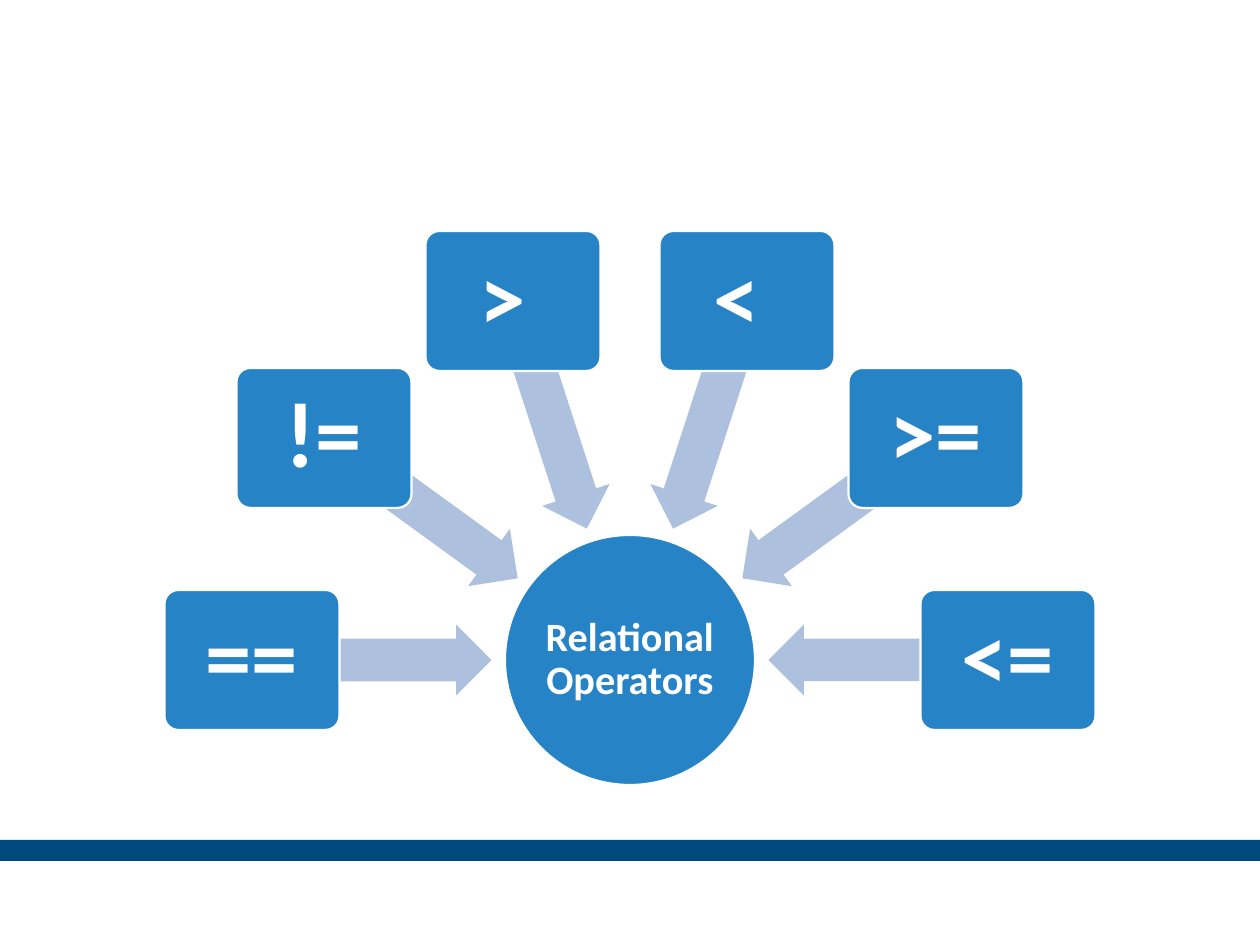
from dataclasses import dataclass
from math import cos, radians, sin

from pptx import Presentation
from pptx import util as u
from pptx.dml.color import RGBColor
from pptx.enum import shapes, text

EMU_PER_PX = 914400 / 126
COLORS = {"bar": "00497C", "node": "2683C6", "arrow": "ADC1DF", "white": "FFFFFF"}
FONT = "Calibri"

HUB_X, HUB_Y = 630, 660
BOX_ORBIT, ARROW_ORBIT = 378, 258
OPERATORS = ["==", "!=", "> ", "< ", ">=", "<="]


@dataclass(frozen=True)
class Look:
    preset: shapes.MSO_SHAPE
    width: int
    height: int
    color: str
    adjustments: tuple[float, ...] = ()
    outlined: bool = False


@dataclass(frozen=True)
class Label:
    words: str
    size: int
    inset: int


BAR = Look(shapes.MSO_SHAPE.RECTANGLE, 1260, 21, "bar")
HUB = Look(shapes.MSO_SHAPE.OVAL, 250, 250, "node", outlined=True)
ARROW = Look(shapes.MSO_SHAPE.LEFT_ARROW, 239, 71, "arrow", (0.6, 0.5))
BOX = Look(shapes.MSO_SHAPE.ROUNDED_RECTANGLE, 175, 140, "node", (0.1,), True)


def px(length: int) -> u.Emu:
    return u.Emu(round(length * EMU_PER_PX))


def rgb(name: str) -> RGBColor:
    return RGBColor.from_string(COLORS[name])


def orbit_point(radius: int, angle: float) -> tuple[int, int]:
    """Point around the hub, with angles running clockwise from the right."""
    turn = radians(angle)
    return round(HUB_X + radius * cos(turn)), round(HUB_Y + radius * sin(turn))


def draw_shape(slide, look: Look, center_x: int, center_y: int, rotation: float = 0):
    shape = slide.shapes.add_shape(
        look.preset,
        px(center_x - look.width / 2),
        px(center_y - look.height / 2),
        px(look.width),
        px(look.height),
    )
    shape.rotation = rotation
    shape.shadow.inherit = False
    for index, value in enumerate(look.adjustments):
        shape.adjustments[index] = value
    shape.fill.solid()
    shape.fill.fore_color.rgb = rgb(look.color)
    if look.outlined:
        shape.line.color.rgb = rgb("white")
        shape.line.width = u.Pt(1.25)
    else:
        shape.line.fill.background()
    return shape


def write_label(shape, label: Label) -> None:
    frame = shape.text_frame
    frame.word_wrap = True
    frame.vertical_anchor = text.MSO_ANCHOR.MIDDLE
    frame.margin_left = frame.margin_right = px(label.inset)
    frame.margin_top = frame.margin_bottom = px(label.inset)
    paragraph = frame.paragraphs[0]
    paragraph.alignment = text.PP_ALIGN.CENTER
    paragraph.line_spacing = 0.9
    run = paragraph.add_run()
    run.text = label.words
    run.font.name = FONT
    run.font.size = u.Pt(label.size)
    run.font.bold = True
    run.font.color.rgb = rgb("white")


def main() -> None:
    presentation = Presentation()
    presentation.slide_width, presentation.slide_height = px(1260), px(945)
    slide = presentation.slides.add_slide(presentation.slide_layouts[6])

    draw_shape(slide, BAR, 630, 850.5)
    write_label(draw_shape(slide, HUB, HUB_X, HUB_Y), Label("Relational Operators", 23, 3))

    step = 180 / (len(OPERATORS) - 1)
    for index, operator in enumerate(OPERATORS):
        angle = 180 + index * step
        draw_shape(slide, ARROW, *orbit_point(ARROW_ORBIT, angle), rotation=angle % 360)
        box = draw_shape(slide, BOX, *orbit_point(BOX_ORBIT, angle))
        write_label(box, Label(operator, 53, 14))

    presentation.save("out.pptx")


if __name__ == "__main__":
    main()
